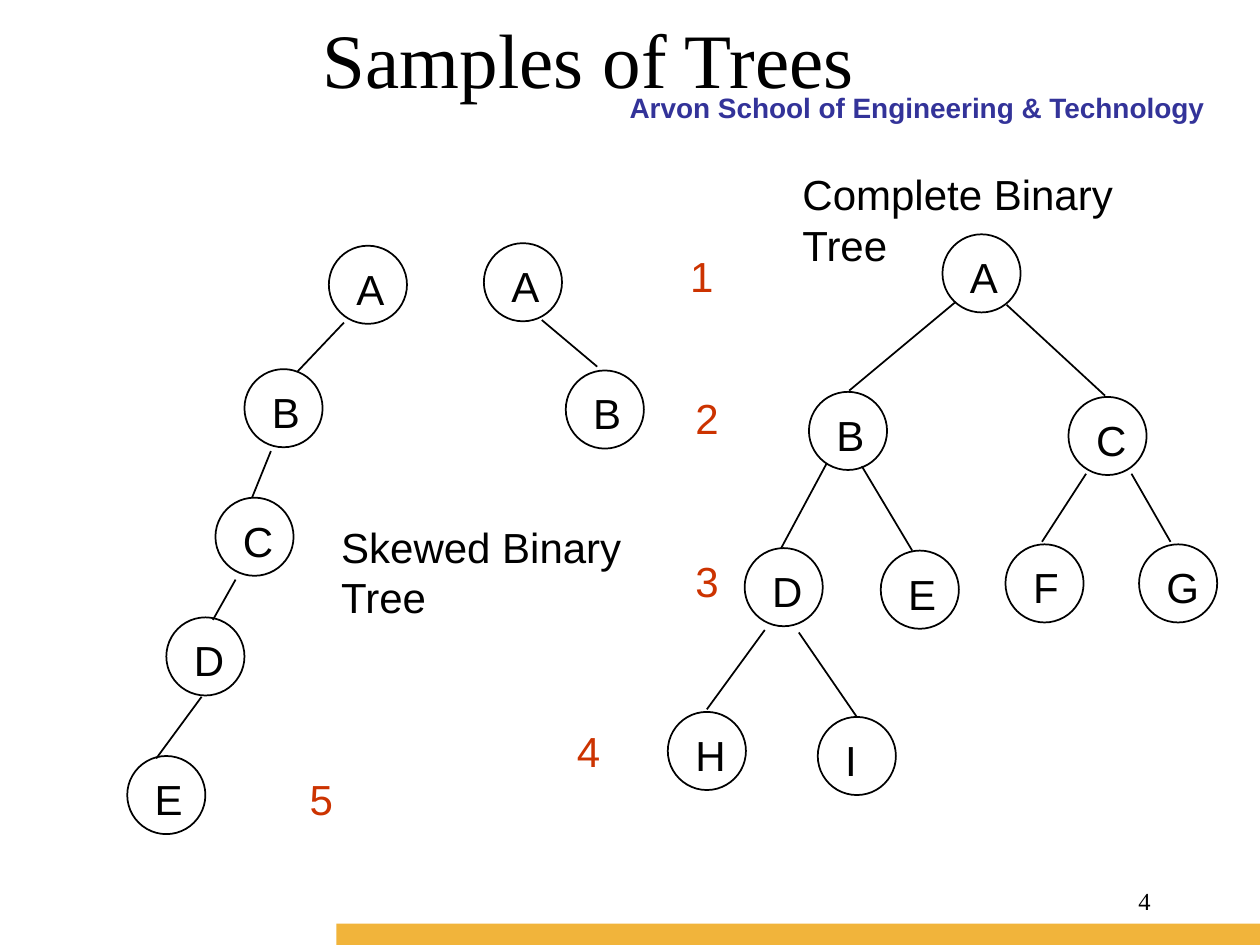
from typing import NamedTuple

from lxml.etree import SubElement
from pptx import Presentation
from pptx.dml.color import RGBColor
from pptx.enum.shapes import MSO_CONNECTOR, MSO_SHAPE
from pptx.enum.text import MSO_ANCHOR, PP_ALIGN
from pptx.oxml.ns import qn
from pptx.util import Inches, Pt

BLACK = RGBColor(0x00, 0x00, 0x00)
NAVY = RGBColor(0x33, 0x33, 0x99)
GOLD = RGBColor(0xF1, 0xB4, 0x3B)
RED = RGBColor(0xCC, 0x33, 0x00)
SERIF = "Times New Roman"
DIAMETER = 0.62
LABEL_DX, LABEL_DY = 0.12, 0.09
LABEL_HEIGHT = 0.5


class Node(NamedTuple):
    label: str
    x: float
    y: float
    label_width: float = 0.44


class Edge(NamedTuple):
    x1: float
    y1: float
    x2: float
    y2: float


class Label(NamedTuple):
    text: str
    x: float
    y: float
    width: float


LEFT_SKEWED_NODES = [
    Node("A", 2.61, 1.95),
    Node("B", 1.94, 2.93, 0.42),
    Node("C", 1.71, 3.95, 0.42),
    Node("D", 1.32, 4.9),
    Node("E", 1.01, 6, 0.4),
]
LEFT_SKEWED_EDGES = [
    Edge(2.73, 2.56, 2.36, 2.95),
    Edge(2.15, 3.58, 2, 3.95),
    Edge(1.87, 4.6, 1.69, 4.92),
    Edge(1.6, 5.53, 1.24, 6.02),
]
RIGHT_SKEWED_NODES = [Node("A", 3.84, 1.93), Node("B", 4.49, 2.94, 0.42)]
RIGHT_SKEWED_EDGES = [Edge(4.3, 2.54, 4.74, 2.91)]
COMPLETE_NODES = [
    Node("A", 7.48, 1.86),
    Node("B", 6.42, 3.11, 0.42),
    Node("C", 8.48, 3.15, 0.42),
    Node("D", 5.91, 4.35),
    Node("E", 6.99, 4.37, 0.4),
    Node("F", 7.98, 4.32, 0.39),
    Node("G", 9.04, 4.32),
    Node("H", 5.3, 5.65),
    Node("I", 6.49, 5.69, 0.31),
]
COMPLETE_EDGES = [
    Edge(7.58, 2.4, 6.74, 3.1),
    Edge(7.99, 2.42, 8.77, 3.14),
    Edge(6.56, 3.68, 6.2, 4.35),
    Edge(6.84, 3.7, 7.24, 4.37),
    Edge(8.62, 3.76, 8.27, 4.3),
    Edge(8.98, 3.76, 9.29, 4.3),
    Edge(6.07, 5, 5.61, 5.63),
    Edge(6.34, 5.02, 6.8, 5.69),
]
TREES = [
    (LEFT_SKEWED_NODES, LEFT_SKEWED_EDGES),
    (RIGHT_SKEWED_NODES, RIGHT_SKEWED_EDGES),
    (COMPLETE_NODES, COMPLETE_EDGES),
]
CAPTIONS = [
    Label("Complete Binary Tree", 6.27, 1.29, 3.18),
    Label("Skewed Binary Tree", 2.61, 4.09, 2.94),
]
LEVELS = [
    Label("1", 5.38, 1.94, 0.37),
    Label("2", 5.42, 3.07, 0.37),
    Label("3", 5.42, 4.36, 0.37),
    Label("4", 4.48, 5.71, 0.37),
    Label("5", 2.36, 6.09, 0.37),
]


def add_text(shapes, text: str, x: float, y: float, w: float, h: float, *,
             size: int = 24, font: str = "Arial", color: RGBColor = BLACK,
             bold: bool = False, align: PP_ALIGN = PP_ALIGN.LEFT,
             anchor: MSO_ANCHOR = MSO_ANCHOR.TOP) -> None:
    sp = shapes.add_textbox(Inches(x), Inches(y), Inches(w), Inches(h))
    tf = sp.text_frame
    tf.word_wrap = True
    tf.vertical_anchor = anchor
    p = tf.paragraphs[0]
    p.alignment = align
    r = p.add_run()
    r.text = text
    r.font.size = Pt(size)
    r.font.name = font
    r.font.bold = bold
    r.font.color.rgb = color


def add_node(s, node: Node) -> None:
    shapes = s.shapes.add_group_shape().shapes
    sp = shapes.add_shape(MSO_SHAPE.OVAL, Inches(node.x), Inches(node.y),
                          Inches(DIAMETER), Inches(DIAMETER))
    sp.shadow.inherit = False
    sp.fill.background()
    sp.line.color.rgb = BLACK
    sp.line.width = Pt(1)
    add_text(shapes, node.label, node.x + LABEL_DX, node.y + LABEL_DY,
             node.label_width, LABEL_HEIGHT)


def add_edge(s, edge: Edge) -> None:
    line = s.shapes.add_connector(MSO_CONNECTOR.STRAIGHT,
                                  *(Inches(v) for v in edge))
    line.line.color.rgb = BLACK
    line.line.width = Pt(1)
    SubElement(line._element.spPr, qn("a:effectLst"))


def add_footer_bar(s) -> None:
    bar = s.shapes.add_shape(MSO_SHAPE.RECTANGLE, Inches(2.67), Inches(7.33),
                             Inches(7.33), Inches(0.17))
    bar.shadow.inherit = False
    bar.fill.solid()
    bar.fill.fore_color.rgb = GOLD
    bar.line.fill.background()


def main() -> None:
    prs = Presentation()
    prs.slide_width = Inches(10)
    prs.slide_height = Inches(7.5)
    s = prs.slides.add_slide(prs.slide_layouts[6])

    add_text(s.shapes, "Arvon School of Engineering & Technology",
             4.08, 0.67, 5.58, 0.33, size=16, color=NAVY, bold=True,
             align=PP_ALIGN.RIGHT)
    add_footer_bar(s)
    add_text(s.shapes, "4", 7.15, 6.98, 2.08, 0.5, size=14, font=SERIF,
             align=PP_ALIGN.RIGHT)
    add_text(s.shapes, "Samples of Trees", -0.34, -0.17, 10.02, 1.25,
             size=44, font=SERIF, align=PP_ALIGN.CENTER,
             anchor=MSO_ANCHOR.MIDDLE)

    for nodes, edges in TREES:
        for node in nodes:
            add_node(s, node)
        for edge in edges:
            add_edge(s, edge)
    for labels, color in ((CAPTIONS, BLACK), (LEVELS, RED)):
        for label in labels:
            add_text(s.shapes, label.text, label.x, label.y, label.width,
                     LABEL_HEIGHT, color=color)

    prs.save("out.pptx")


if __name__ == "__main__":
    main()
